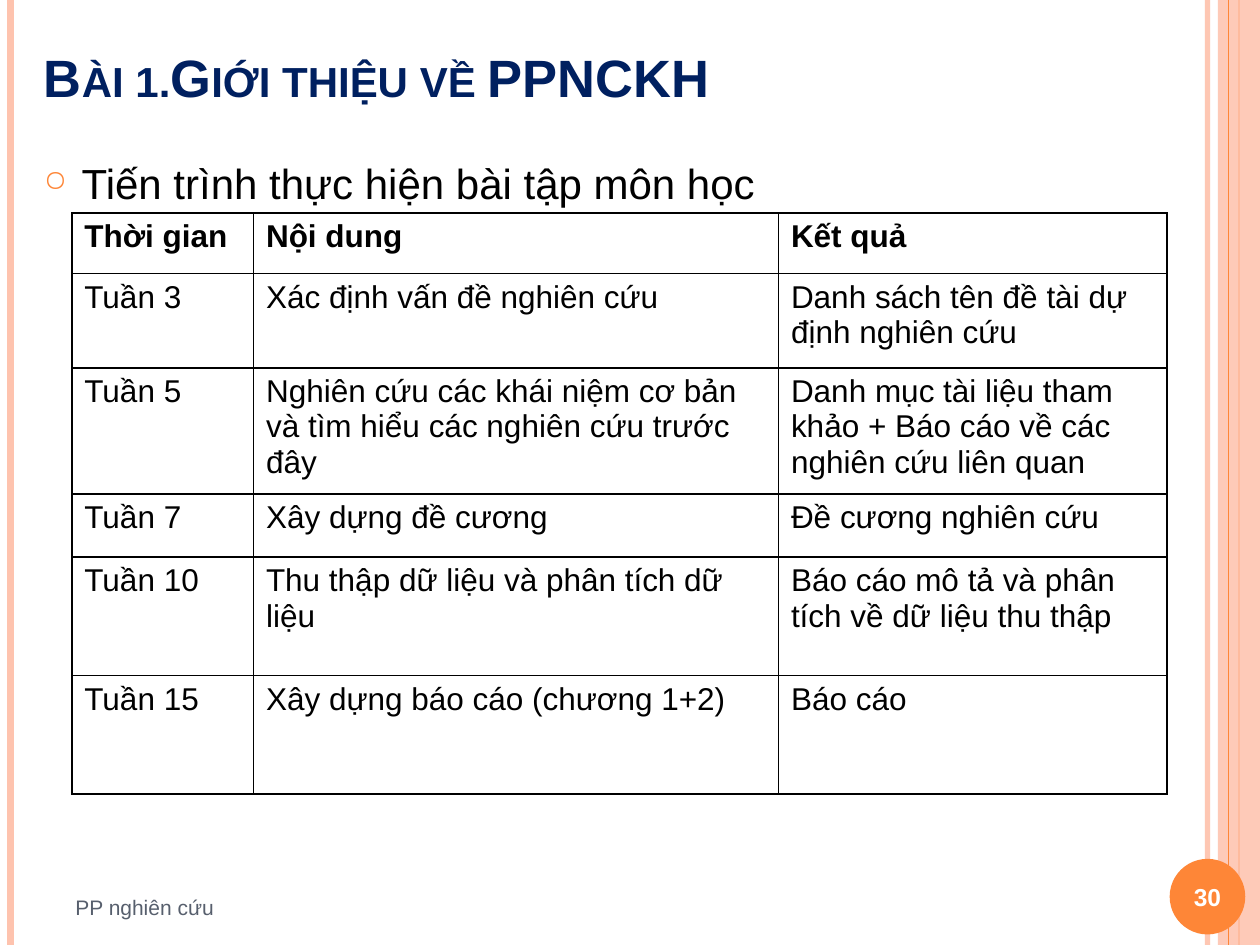
from pptx import Presentation
from pptx.dml.color import RGBColor
from pptx.enum.shapes import MSO_CONNECTOR, MSO_SHAPE
from pptx.enum.text import MSO_ANCHOR, PP_ALIGN
from pptx.oxml import parse_xml
from pptx.oxml.ns import nsdecls, qn
from pptx.util import Inches, Pt

COLUMNS, ROWS = 120, 90
WIDTH, HEIGHT = Inches(10), Inches(7.5)
ORANGE, PEACH, NAVY, SLATE = "FE8637", "FEC3AE", "002060", "575F6D"
BLACK, WHITE = "000000", "FFFFFF"


def color(value):
    """Turn a hex string into a colour."""
    return RGBColor.from_string(value)


def across(columns):
    """Turn grid columns into a length."""
    return round(WIDTH * columns / COLUMNS)


def down(rows):
    """Turn grid rows into a length."""
    return round(HEIGHT * rows / ROWS)


def element(xml):
    """Parse a drawing element given without its namespace."""
    tag, rest = xml[:-2].partition(" ")[::2]
    return parse_xml(f"{tag} {nsdecls('a')} {rest}/>")


def set_alpha(shape, percent):
    """Give the colours of a shape an opacity."""
    for node in shape.element.spPr.iter(qn("a:srgbClr")):
        node.append(element(f'<a:alpha val="{percent * 1000}"/>'))


def write(frame, text, size=18, ink=BLACK, bold=False, align=None,
          anchor=MSO_ANCHOR.TOP, small_caps=False):
    """Write one formatted paragraph and return it."""
    frame.word_wrap = True
    frame.vertical_anchor = anchor
    paragraph = frame.paragraphs[0]
    if align is not None:
        paragraph.alignment = align
    run = paragraph.add_run()
    run.text = text
    run.font.name = "Arial"
    run.font.size = Pt(size)
    run.font.bold = bold
    run.font.color.rgb = color(ink)
    if small_caps:
        run.font.fill.solid()
        run.font.color.rgb = color(ink)
        for properties in frame.paragraphs[0].runs[0].font.fill, :
            paragraph.runs[0].font.fill.solid()
            properties.fore_color.rgb = color(ink)
    return paragraph


class SlideBuilder:
    """Hold the current slide and add its elements on the grid."""

    def __init__(self, slide):
        """Start on a slide with a white background."""
        self.slide = slide
        slide.background.fill.solid()
        slide.background.fill.fore_color.rgb = color(WHITE)

    def rule(self, column, ink, points, alpha=100):
        """Draw a vertical line over the full height."""
        x = across(column)
        line = self.slide.shapes.add_connector(
            MSO_CONNECTOR.STRAIGHT, x, 0, x, HEIGHT)
        line.line.color.rgb = color(ink)
        line.line.width = Pt(points)
        line.element.spPr.append(element("<a:effectLst/>"))
        if alpha < 100:
            set_alpha(line, alpha)

    def shape(self, kind, left, top, width, height, ink, alpha=100):
        """Draw a filled preset shape without outline."""
        shape = self.slide.shapes.add_shape(
            kind, across(left), down(top), across(width), down(height))
        shape.shadow.inherit = False
        shape.fill.solid()
        shape.fill.fore_color.rgb = color(ink)
        shape.line.fill.background()
        if alpha < 100:
            set_alpha(shape, alpha)

    def text(self, text, left, top, width, height, small_caps=False, **style):
        """Add a text box and return it."""
        box = self.slide.shapes.add_textbox(
            across(left), down(top), across(width), down(height))
        write(box.text_frame, text, **style)
        if small_caps:
            for properties in box.element.iter(qn("a:rPr")):
                properties.set("cap", "small")
        return box

    def bullet(self, text, left, top, width, height, **style):
        """Add a text box with one bulleted paragraph."""
        box = self.text(text, left, top, width, height,
                        align=PP_ALIGN.JUSTIFY, **style)
        paragraph = box.text_frame.paragraphs[0]
        paragraph.line_spacing = 1.3
        paragraph.space_before = Pt(6)
        indent = Inches(0.3)
        for properties in box.element.iter(qn("a:pPr")):
            properties.set("marL", str(indent))
            properties.set("indent", str(-indent))
            bullet_color = element("<a:buClr/>")
            bullet_color.append(element(f'<a:srgbClr val="{ORANGE}"/>'))
            properties.append(bullet_color)
            properties.append(element('<a:buSzPct val="70000"/>'))
            properties.append(element('<a:buChar char="○"/>'))

    def table(self, rows, left, top, widths, heights):
        """Add a bordered table with a bold header row."""
        frame = self.slide.shapes.add_table(
            len(rows), len(widths), across(left), down(top),
            across(sum(widths)), down(sum(heights)))
        table = frame.table
        table.first_row = table.horz_banding = False
        for column, width in zip(table.columns, widths):
            column.width = across(width)
        for index, (row, height) in enumerate(zip(rows, heights)):
            table.rows[index].height = down(height)
            for cell, text in zip(table.rows[index].cells, row):
                cell.fill.background()
                write(cell.text_frame, text, bold=index == 0)
        for properties in frame.element.iter(qn("a:tcPr")):
            for place, side in enumerate("LRTB"):
                border = element(f'<a:ln{side} w="{Pt(1)}"/>')
                fill = element("<a:solidFill/>")
                fill.append(element(f'<a:srgbClr val="{BLACK}"/>'))
                border.append(fill)
                properties.insert(place, border)


def write_schedule(builder):
    """Add the table of weeks, tasks and results."""
    builder.table([
        ("Thời gian", "Nội dung", "Kết quả"),
        ("Tuần 3", "Xác định vấn đề nghiên cứu",
         "Danh sách tên đề tài dự định nghiên cứu"),
        ("Tuần 5", "Nghiên cứu các khái niệm cơ bản và tìm hiểu các "
         "nghiên cứu trước đây",
         "Danh mục tài liệu tham khảo + Báo cáo về các nghiên cứu liên quan"),
        ("Tuần 7", "Xây dựng đề cương", "Đề cương nghiên cứu"),
        ("Tuần 10", "Thu thập dữ liệu và phân tích dữ liệu",
         "Báo cáo mô tả và phân tích về dữ liệu thu thập"),
        ("Tuần 15", "Xây dựng báo cáo (chương 1+2)", "Báo cáo"),
    ], 6.84, 20.28, (17.3, 50, 37), (5.75, 9, 11.4, 6, 11.3, 11.3))


def main():
    """Build and save the slide."""
    presentation = Presentation()
    presentation.slide_width, presentation.slide_height = WIDTH, HEIGHT
    slide = presentation.slides.add_slide(presentation.slide_layouts[6])
    builder = SlideBuilder(slide)
    middle = MSO_ANCHOR.MIDDLE

    builder.rule(115, PEACH, 3, alpha=93)
    builder.rule(1, PEACH, 4.5)
    builder.rule(118, ORANGE, 1.5)
    builder.shape(MSO_SHAPE.RECTANGLE, 116, 0, 4, ROWS, PEACH, alpha=87)
    builder.rule(117, ORANGE, 0.75)
    builder.shape(MSO_SHAPE.OVAL, 111.4, 81.8, 7.2, 7.2, ORANGE)

    builder.text("Bài 1.Giới thiệu về PPNCKH", 3, 3.6, 110, 7.4, size=30,
                 ink=NAVY, bold=True, anchor=middle, small_caps=True)
    builder.bullet("Tiến trình thực hiện bài tập môn học",
                   3, 13, 110, 70, size=24)
    builder.text("30", 111, 82, 8, 6.8, size=14, ink=WHITE, bold=True,
                 align=PP_ALIGN.CENTER, anchor=middle)
    builder.text("PP nghiên cứu", 6, 84, 103, 4.8, size=12, ink=SLATE,
                 anchor=middle)
    write_schedule(builder)
    presentation.save("out.pptx")


main()
